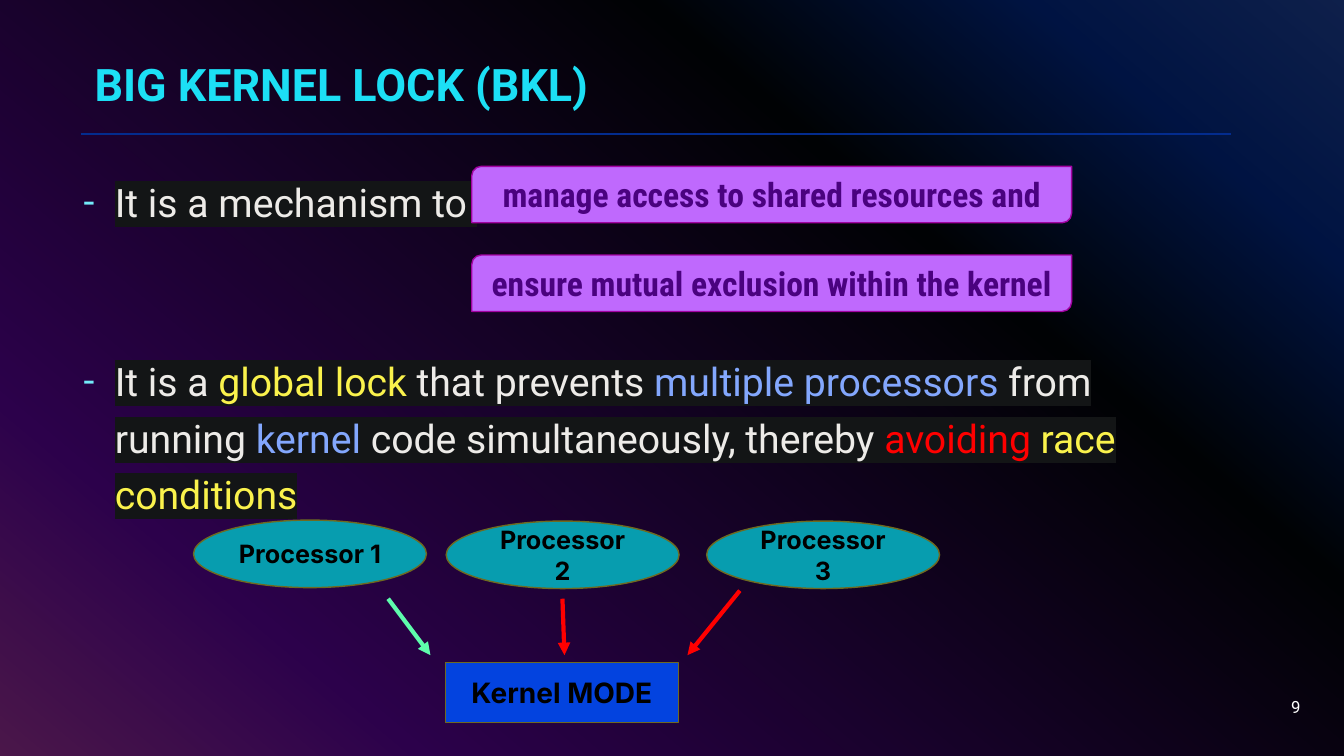
from lxml import etree
from pptx import Presentation
from pptx import util as u
from pptx.dml.color import RGBColor
from pptx.enum import shapes, text
from pptx.oxml.ns import qn

COLORS = {
    "cyan": "1CDFF5", "dash": "73EBF9", "rule": "032C8E", "black": "000000",
    "white": "FFFFFF", "body": "EDEBE8", "mark": "131516", "yellow": "FAF24C",
    "sky": "83A7FD", "red": "FF0000", "green": "5EFCAC", "pill": "BF69FD",
    "pill_edge": "A203A1", "pill_text": "4A027F", "teal": "079DAF",
    "olive": "6E6A21", "blue": "0343DF",
}
BACKDROP = [(0, "316CFC"), (14, "0343DF"), (31, "02090E"), (81, "9405FC"), (100, "FC4EFB")]
FORMATS = {
    "title": {"name": "Roboto", "size": u.Pt(32), "bold": True},
    "body": {"name": "Roboto", "size": u.Pt(28)},
    "number": {"name": "Roboto", "size": u.Pt(12)},
    "pill": {"name": "Roboto Condensed", "size": u.Pt(24), "bold": True},
    "processor": {"name": "Inter", "size": u.Pt(18), "bold": True},
    "kernel": {"name": "Inter", "size": u.Pt(20), "bold": True},
}
BULLETS = [
    (10, [("It is a mechanism to ", "body")]),
    (87.5, [("It is a ", "body"), ("global lock ", "yellow"),
            ("that prevents ", "body"), ("multiple processors ", "sky"),
            ("from running ", "body"), ("kernel", "sky"),
            (" code simultaneously, thereby ", "body"), ("avoiding", "red"),
            (" ", "body"), ("race conditions", "yellow")]),
]
PILLS = [(22, "manage access to shared resources and"),
         (33.73, "ensure mutual exclusion within the kernel")]
PROCESSORS = [(14.4, 68.8), (33.2, 68.93), (52.58, 68.93)]
ARROWS = [((28.88, 79.2), (32.03, 86.67), "green"),
          ((41.85, 79.2), (42, 86.67), "red"),
          ((55.05, 78.13), (51.15, 86.67), "red")]


def rgb(color):
    return RGBColor.from_string(COLORS[color])


def add_color(parent, value):
    return etree.SubElement(parent, qn("a:srgbClr"), val=value)


class Deck:
    """Draws styled elements placed in percent of the slide's width and height."""

    def __init__(self):
        self.show = Presentation()
        self.show.slide_width, self.show.slide_height = u.Inches(13.33), u.Inches(7.5)
        self.slide = self.show.slides.add_slide(self.show.slide_layouts[6])

    def place(self, *shares):
        sides = (self.show.slide_width, self.show.slide_height)
        return [round(sides[i % 2] * share / 100) for i, share in enumerate(shares)]

    def backdrop(self, stops, angle):
        fill = self.slide.background.fill
        fill.gradient()
        fill.gradient_angle = 360 - angle
        ramp = self.slide.element.find(".//" + qn("a:gsLst"))
        for stop in list(ramp):
            ramp.remove(stop)
        for percent, value in stops:
            add_color(etree.SubElement(ramp, qn("a:gs"), pos=str(percent * 1000)), value)

    def add_words(self, paragraph, words, style, color):
        run = paragraph.add_run()
        run.text = words
        for key, value in FORMATS[style].items():
            setattr(run.font, key, value)
        run.font.color.rgb = rgb(color)
        return run

    def label(self, box, words, style, color, align):
        frame = box.text_frame
        frame.word_wrap = True
        frame.vertical_anchor = text.MSO_ANCHOR.MIDDLE
        frame.paragraphs[0].alignment = align
        self.add_words(frame.paragraphs[0], words, style, color)

    def caption(self, area, words, style, color, align=text.PP_ALIGN.LEFT):
        box = self.slide.shapes.add_textbox(*self.place(*area))
        self.label(box, words, style, color, align)

    def block(self, kind, area, fill, edge=None, words="", style="", color="black"):
        block = self.slide.shapes.add_shape(kind, *self.place(*area))
        block.shadow.inherit = False
        block.fill.solid()
        block.fill.fore_color.rgb = rgb(fill)
        if edge:
            block.line.color.rgb = rgb(edge)
            block.line.width = u.Pt(1)
        else:
            block.line.fill.background()
        if words:
            self.label(block, words, style, color, text.PP_ALIGN.CENTER)
        return block

    def veil(self, alpha):
        veil = self.block(shapes.MSO_SHAPE.RECTANGLE, (0, 0, 100, 100), "black")
        tint = veil.element.spPr.find(".//" + qn("a:srgbClr"))
        etree.SubElement(tint, qn("a:alpha"), val=str(alpha * 1000))

    def line(self, start, end, color, width, arrow=False):
        line = self.slide.shapes.add_connector(
            shapes.MSO_CONNECTOR.STRAIGHT, *self.place(*start, *end))
        line.line.color.rgb = rgb(color)
        line.line.width = u.Pt(width)
        outline = line.element.spPr
        if arrow:
            etree.SubElement(outline.find(qn("a:ln")), qn("a:tailEnd"), type="triangle")
        etree.SubElement(outline, qn("a:effectLst"))

    def bullets(self, area, items):
        frame = self.slide.shapes.add_textbox(*self.place(*area)).text_frame
        frame.word_wrap = True
        for index, (gap, pieces) in enumerate(items):
            item = frame.add_paragraph() if index else frame.paragraphs[0]
            item.line_spacing, item.space_before = 1.2, u.Pt(gap)
            layout = item._p.get_or_add_pPr()
            indent = u.Inches(0.31)
            layout.set("marL", str(indent))
            layout.set("indent", str(-indent))
            add_color(etree.SubElement(layout, qn("a:buClr")), COLORS["dash"])
            etree.SubElement(layout, qn("a:buFont"), typeface="Roboto")
            etree.SubElement(layout, qn("a:buChar"), char="-")
            for words, color in pieces:
                run = self.add_words(item, words, "body", color)
                mark = etree.Element(qn("a:highlight"))
                add_color(mark, COLORS["mark"])
                run._r.rPr.find(qn("a:solidFill")).addnext(mark)


def main():
    deck = Deck()
    kinds = shapes.MSO_SHAPE
    deck.backdrop(BACKDROP, 130)
    deck.veil(70)
    deck.line((6, 17.73), (91.58, 17.73), "rule", 2)
    deck.bullets((5.48, 21.73, 85.2, 60.8), BULLETS)
    deck.caption((75, 90.8, 22.5, 5.33), "9", "number", "white", text.PP_ALIGN.RIGHT)
    deck.caption((6.3, 6.7, 85, 8.6), "BIG KERNEL LOCK (BKL)", "title", "cyan")
    for top, words in PILLS:
        deck.block(kinds.ROUND_2_DIAG_RECTANGLE, (35.1, top, 44.63, 7.47),
                   "pill", "pill_edge", words, "pill", "pill_text")
    for number, (left, top) in enumerate(PROCESSORS, 1):
        deck.block(kinds.OVAL, (left, top, 17.33, 8.93),
                   "teal", "olive", f"Processor {number}", "processor")
    deck.block(kinds.RECTANGLE, (33.15, 87.6, 17.33, 8),
               "blue", "olive", "Kernel MODE", "kernel")
    for start, end, color in ARROWS:
        deck.line(start, end, color, 3, arrow=True)
    deck.show.save("out.pptx")


if __name__ == "__main__":
    main()
